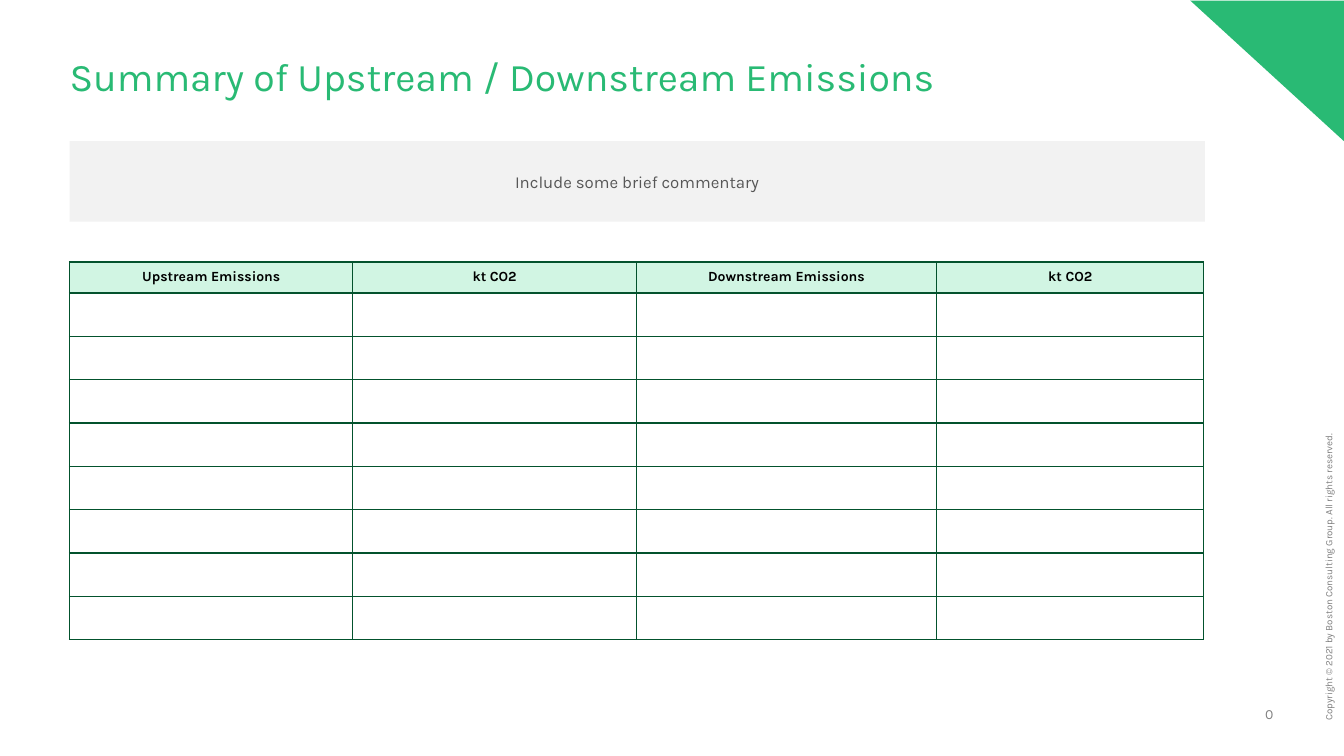
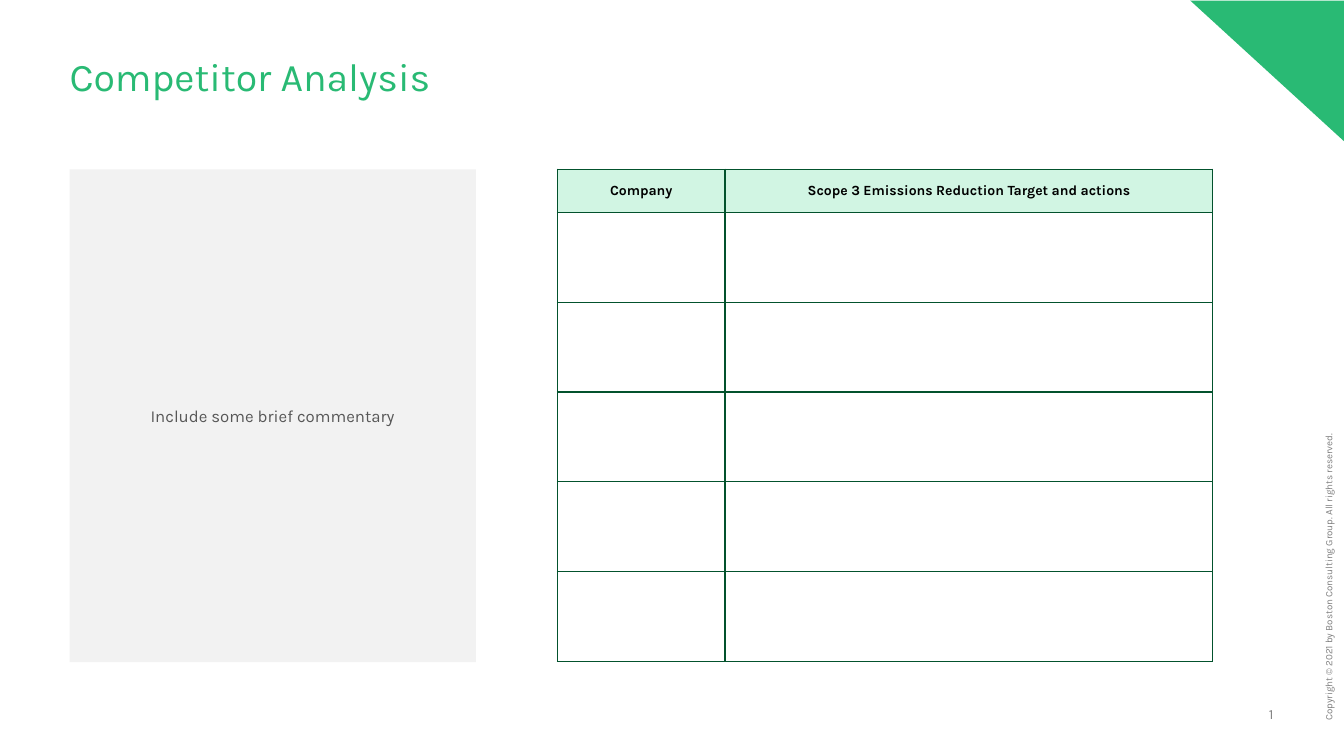
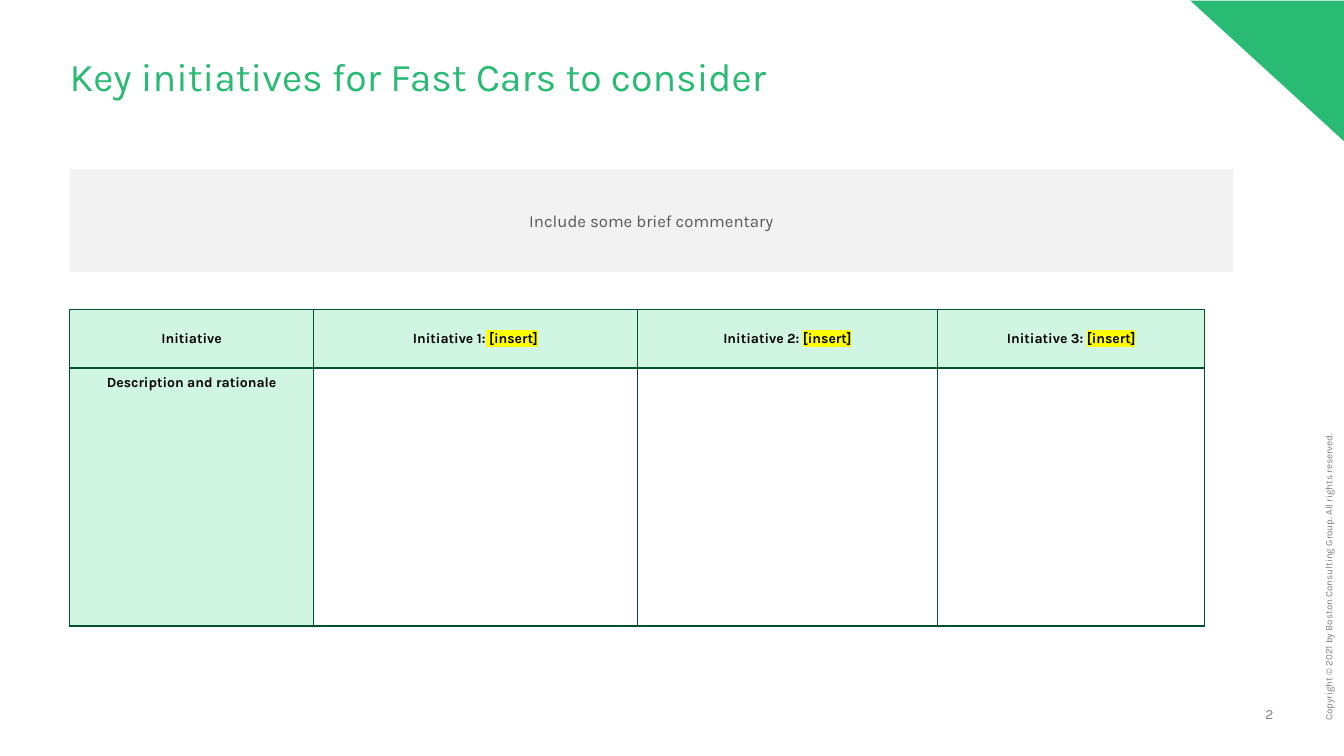
import pptx
import pptx.dml.color
import pptx.enum.shapes
import pptx.enum.text
import pptx.oxml
import pptx.oxml.ns
import pptx.util
from dataclasses import dataclass

Inches = pptx.util.Inches
ANCHOR = pptx.enum.text.MSO_ANCHOR
ALIGN = pptx.enum.text.PP_ALIGN
SHAPE = pptx.enum.shapes.MSO_SHAPE
NAMESPACE = pptx.oxml.ns.nsdecls("a")


@dataclass(frozen=True)
class Theme:
    font: str = "Karla"
    green: str = "29BA74"
    pale_green: str = "D1F5E3"
    border: str = "03522D"
    panel: str = "F2F2F2"
    panel_text: str = "575757"
    footer: str = "808080"
    black: str = "000000"
    highlight: str = "FFFF00"
    title_size: int = 28
    panel_size: int = 12
    table_size: int = 10
    number_size: int = 10
    copyright_size: int = 7
    border_width: int = 1
    cell_inset: float = 0.07


THEME = Theme()
SLIDE_SIZE = (13.33, 7.5)
MARGIN = 0.69
TABLE_WIDTH = 11.26
COMMENTARY = "Include some brief commentary"
COPYRIGHT = "Copyright © 2021 by Boston Consulting Group. All rights reserved."

# A cell is a list of (text, highlighted) runs; rows not listed stay blank.
SLIDES = [
    {
        "title": "Summary of Upstream / Downstream Emissions",
        "panel": (MARGIN, 1.4, TABLE_WIDTH, 0.8),
        "table": {
            "origin": (MARGIN, 2.6),
            "columns": [2.81, 2.81, 2.98, 2.65],
            "rows": [0.3] + [0.43] * 8,
            "header_anchor": ANCHOR.TOP,
            "cells": [[
                [("Upstream Emissions", False)],
                [("kt CO2", False)],
                [("Downstream Emissions", False)],
                [("kt CO2", False)],
            ]],
        },
    },
    {
        "title": "Competitor Analysis",
        "panel": (MARGIN, 1.68, 4.03, 4.89),
        "table": {
            "origin": (5.53, 1.68),
            "columns": [1.66, 4.84],
            "rows": [0.43] + [0.89] * 5,
            "header_anchor": ANCHOR.MIDDLE,
            "cells": [[
                [("Company", False)],
                [("Scope 3 Emissions Reduction Target and actions", False)],
            ]],
        },
    },
    {
        "title": "Key initiatives for Fast Cars to consider",
        "panel": (MARGIN, 1.68, 11.54, 1.02),
        "table": {
            "origin": (MARGIN, 3.07),
            "columns": [2.42, 3.21, 2.98, 2.65],
            "rows": [0.58, 2.56],
            "header_anchor": ANCHOR.MIDDLE,
            "cells": [
                [
                    [("Initiative", False)],
                    [("Initiative 1:", False), (" [insert]", True)],
                    [("Initiative 2: ", False), ("[insert]", True)],
                    [("Initiative 3: ", False), ("[insert]", True)],
                ],
                [[("Description and rationale", False)]],
            ],
        },
    },
]


def rgb(color):
    return pptx.dml.color.RGBColor.from_string(color)


def format_font(font, size, color, bold=False):
    font.name = THEME.font
    font.size = pptx.util.Pt(size)
    font.color.rgb = rgb(color)
    font.bold = bold


def set_insets(target, inset):
    target.margin_left = target.margin_right = Inches(inset)
    target.margin_top = target.margin_bottom = Inches(inset)


def place(shape, box):
    shape.left, shape.top, shape.width, shape.height = map(Inches, box)


def add_filled_shape(slide, kind, box, color):
    shape = slide.shapes.add_shape(kind, *map(Inches, box))
    shape.shadow.inherit = False
    shape.fill.solid()
    shape.fill.fore_color.rgb = rgb(color)
    shape.line.fill.background()
    return shape


def add_footer_box(slide, box, anchor):
    shape = slide.shapes.add_textbox(*map(Inches, box))
    text_frame = shape.text_frame
    text_frame.word_wrap = True
    text_frame.vertical_anchor = anchor
    set_insets(text_frame, 0)
    return shape


def add_slide_number(slide, number):
    shape = add_footer_box(slide, (12.21, 7, 0.42, 0.17), ANCHOR.BOTTOM)
    paragraph = shape.text_frame.paragraphs[0]
    paragraph.alignment = ALIGN.RIGHT
    run = paragraph.add_run()
    format_font(run.font, THEME.number_size, THEME.footer)
    field = pptx.oxml.parse_xml(
        f'<a:fld {NAMESPACE} id="{{B6F15528-21DE-4FAA-801E-634DDDAF4B2B}}" type="slidenum">'
        f"<a:t>{number}</a:t></a:fld>")
    run._r.addprevious(field)
    field.insert(0, run.font._element)
    paragraph._p.remove(run._r)


def add_copyright(slide):
    shape = add_footer_box(slide, (10.38, 4.29, 5.61, 0.11), ANCHOR.TOP)
    shape.rotation = 270
    paragraph = shape.text_frame.paragraphs[0]
    paragraph.text = COPYRIGHT
    paragraph.line_spacing = 0.9
    format_font(paragraph.runs[0].font, THEME.copyright_size, THEME.footer)


def add_frame(slide, title, number):
    """Title, corner triangle and footers found on every slide."""
    title_shape = slide.shapes.title
    place(title_shape, (MARGIN, 0.57, 11.96, 0.42))
    text_frame = title_shape.text_frame
    text_frame.text = title
    text_frame.word_wrap = True
    text_frame.auto_size = pptx.enum.text.MSO_AUTO_SIZE.NONE
    text_frame.vertical_anchor = ANCHOR.TOP
    set_insets(text_frame, 0)
    paragraph = text_frame.paragraphs[0]
    paragraph.alignment = ALIGN.LEFT
    paragraph.line_spacing = 0.9
    format_font(paragraph.runs[0].font, THEME.title_size, THEME.green)

    corner = add_filled_shape(slide, SHAPE.ISOSCELES_TRIANGLE,
                              (11.87, -0.06, 1.4, 1.53), THEME.green)
    corner.adjustments[0] = 1
    corner.rotation = 270
    add_slide_number(slide, number)
    add_copyright(slide)


def add_panel(slide, box):
    panel = add_filled_shape(slide, SHAPE.RECTANGLE, box, THEME.panel)
    panel.text_frame.text = COMMENTARY
    panel.text_frame.word_wrap = True
    panel.text_frame.vertical_anchor = ANCHOR.MIDDLE
    paragraph = panel.text_frame.paragraphs[0]
    paragraph.alignment = ALIGN.CENTER
    format_font(paragraph.runs[0].font, THEME.panel_size, THEME.panel_text)


def add_borders(cell):
    properties = cell._tc.get_or_add_tcPr()
    width = pptx.util.Pt(THEME.border_width)
    for position, side in enumerate(("lnL", "lnR", "lnT", "lnB")):
        properties.insert(position, pptx.oxml.parse_xml(
            f'<a:{side} {NAMESPACE} w="{width}"><a:solidFill>'
            f'<a:srgbClr val="{THEME.border}"/></a:solidFill></a:{side}>'))


def highlight(run):
    latin = run.font._element.find(pptx.oxml.ns.qn("a:latin"))
    latin.addprevious(pptx.oxml.parse_xml(
        f'<a:highlight {NAMESPACE}><a:srgbClr val="{THEME.highlight}"/></a:highlight>'))


def fill_label_cell(cell, runs, anchor):
    set_insets(cell, THEME.cell_inset)
    cell.vertical_anchor = anchor
    cell.fill.solid()
    cell.fill.fore_color.rgb = rgb(THEME.pale_green)
    paragraph = cell.text_frame.paragraphs[0]
    paragraph.alignment = ALIGN.CENTER
    for text, highlighted in runs:
        run = paragraph.add_run()
        run.text = text
        format_font(run.font, THEME.table_size, THEME.black, bold=True)
        if highlighted:
            highlight(run)


def add_table(slide, origin, columns, rows, header_anchor, cells):
    box = (*origin, sum(columns), sum(rows))
    table = slide.shapes.add_table(len(rows), len(columns), *map(Inches, box)).table
    table.first_row = table.horz_banding = False
    for column, width in zip(table.columns, columns):
        column.width = Inches(width)
    for row, height in zip(table.rows, rows):
        row.height = Inches(height)
    for cell in table.iter_cells():
        cell.fill.background()
        add_borders(cell)
    for row_index, labels in enumerate(cells):
        anchor = ANCHOR.TOP if row_index else header_anchor
        for column_index, runs in enumerate(labels):
            fill_label_cell(table.cell(row_index, column_index), runs, anchor)


def main():
    presentation = pptx.Presentation()
    presentation.slide_width, presentation.slide_height = map(Inches, SLIDE_SIZE)
    presentation.element.set("firstSlideNum", "0")
    title_only = presentation.slide_layouts[5]
    for number, content in enumerate(SLIDES):
        slide = presentation.slides.add_slide(title_only)
        add_frame(slide, content["title"], number)
        add_panel(slide, content["panel"])
        add_table(slide, **content["table"])
    presentation.save("out.pptx")


if __name__ == "__main__":
    main()
